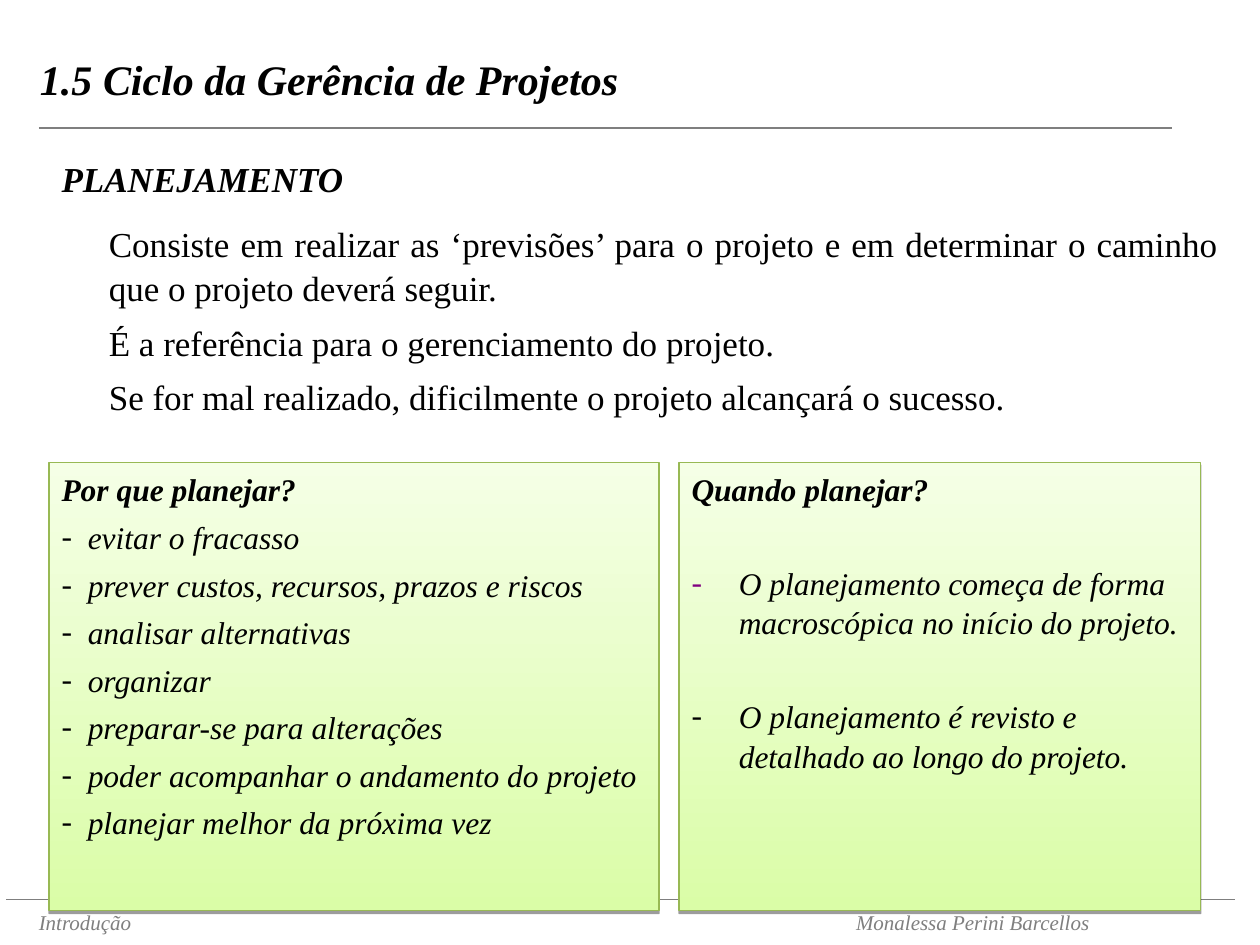
"""Builds the slide on planning in the project management cycle."""
from lxml import etree
from pptx import Presentation
from pptx.dml.color import RGBColor
from pptx.enum.shapes import MSO_CONNECTOR, MSO_SHAPE
from pptx.enum.text import MSO_ANCHOR, PP_ALIGN
from pptx.oxml.ns import qn
from pptx.util import Pt

STRAIGHT = MSO_CONNECTOR.STRAIGHT
RECTANGLE = MSO_SHAPE.RECTANGLE
MIDDLE = MSO_ANCHOR.MIDDLE
LEFT, JUSTIFY = PP_ALIGN.LEFT, PP_ALIGN.JUSTIFY

THEME = {
    "font": "Times New Roman",
    "ink": "000000",
    "muted": "7F7F7F",
    "accent": "800080",
    "panel_top": "F5FFE6",
    "panel_bottom": "DAFDA7",
    "panel_line": "98B954",
    "title": 24,
    "body": 20,
    "panel": 18,
    "footer": 12,
}


def write(paragraph, text, size, color="ink", bold=False, italic=False,
          before=0, after=0, spacing=1.05, align=LEFT):
    paragraph.text = text
    paragraph.alignment = align
    paragraph.line_spacing = spacing
    paragraph.space_before, paragraph.space_after = Pt(before), Pt(after)
    for run in paragraph.runs:
        run.font.name = THEME["font"]
        run.font.size = Pt(THEME[size])
        run.font.bold, run.font.italic = bold, italic
        run.font.color.rgb = RGBColor.from_string(THEME[color])


def add_child(parent, tag, **attributes):
    values = {key: str(value) for key, value in attributes.items()}
    return etree.SubElement(parent, qn(tag), values)


prs = Presentation()
prs.slide_width, prs.slide_height = Pt(720), Pt(540)
slide = prs.slides.add_slide(prs.slide_layouts[6])
shapes = slide.shapes

for start, end, y, weight in [(22.3, 669.6, 73.3, 1), (3.6, 705.6, 514, 0.75)]:
    rule = shapes.add_connector(STRAIGHT, Pt(start), Pt(y), Pt(end), Pt(y))
    rule.line.color.rgb = RGBColor.from_string(THEME["muted"])
    rule.line.width = Pt(weight)
    add_child(rule._element.spPr, "a:effectLst")

footer = shapes.add_textbox(Pt(15.1), Pt(516.2), Pt(619.2), Pt(21.6)).text_frame
footer.word_wrap = False
author_tabs = add_child(footer.paragraphs[0]._p.get_or_add_pPr(), "a:tabLst")
add_child(author_tabs, "a:tab", pos=Pt(467), algn="l")
write(footer.paragraphs[0], "Introdução\tMonalessa Perini Barcellos", "footer",
      "muted", italic=True, spacing=1)

planning = shapes.add_textbox(Pt(28.1), Pt(85.3), Pt(675.4), Pt(173)).text_frame
planning.word_wrap = True
write(planning.paragraphs[0], "PLANEJAMENTO", "body", bold=True, italic=True)
statements = [
    "Consiste em realizar as ‘previsões’ para o projeto e em determinar o "
    "caminho que o projeto deverá seguir.",
    "É a referência para o gerenciamento do projeto.",
    "Se for mal realizado, dificilmente o projeto alcançará o sucesso.",
]
for number, statement in enumerate(statements):
    paragraph = planning.add_paragraph()
    paragraph._p.get_or_add_pPr().set("marL", str(Pt(27)))
    write(paragraph, statement, "body", before=0 if number else 12, after=6,
          align=JUSTIFY)

reasons = [
    "evitar o fracasso",
    "prever custos, recursos, prazos e riscos",
    "analisar alternativas",
    "organizar",
    "preparar-se para alterações",
    "poder acompanhar o andamento do projeto",
    "planejar melhor da próxima vez",
]
moments = [
    "O planejamento começa de forma macroscópica no início do projeto.",
    "O planejamento é revisto e detalhado ao longo do projeto.",
]
panels = [
    (28.1, 348.5, "Por que planejar?", reasons, 15, 4.5, "ink"),
    (388.1, 298.1, "Quando planejar?", moments, 27, 30.7, "accent"),
]
for left, width, question, answers, indent, gap, first_dash in panels:
    panel = shapes.add_shape(RECTANGLE, Pt(left), Pt(264.2), Pt(width), Pt(256.3))
    panel.fill.gradient()
    panel.fill.gradient_angle = 270
    for stop, position, shade in zip(panel.fill.gradient_stops, (0, 1),
                                     ("panel_top", "panel_bottom")):
        stop.position = position
        stop.color.rgb = RGBColor.from_string(THEME[shade])
    panel.line.color.rgb = RGBColor.from_string(THEME["panel_line"])
    panel.line.width = Pt(0.75)
    panel.shadow.inherit = False
    effects = panel._element.spPr.find(qn("a:effectLst"))
    shadow = add_child(effects, "a:outerShdw", blurRad=0, dist=Pt(1.6),
                       dir=5400000, rotWithShape=0)
    shadow_color = add_child(shadow, "a:srgbClr", val=THEME["ink"])
    add_child(shadow_color, "a:alpha", val=38000)

    frame = panel.text_frame
    frame.word_wrap = True
    frame.vertical_anchor = MSO_ANCHOR.TOP
    write(frame.paragraphs[0], question, "panel", bold=True, italic=True)
    for number, answer in enumerate(answers):
        paragraph = frame.add_paragraph()
        properties = paragraph._p.get_or_add_pPr()
        properties.set("marL", str(Pt(indent)))
        properties.set("indent", str(-Pt(indent)))
        dash_color = add_child(properties, "a:buClr")
        add_child(dash_color, "a:srgbClr",
                  val=THEME["ink" if number else first_dash])
        add_child(properties, "a:buFont", typeface=THEME["font"])
        add_child(properties, "a:buChar", char="-")
        write(paragraph, answer, "panel", italic=True, before=gap)

title = shapes.add_textbox(Pt(15.8), Pt(0), Pt(664.6), Pt(90)).text_frame
title.word_wrap = True
title.vertical_anchor = MIDDLE
write(title.paragraphs[0], "1.5 Ciclo da Gerência de Projetos", "title",
      bold=True, italic=True, spacing=1)

prs.save("out.pptx")
